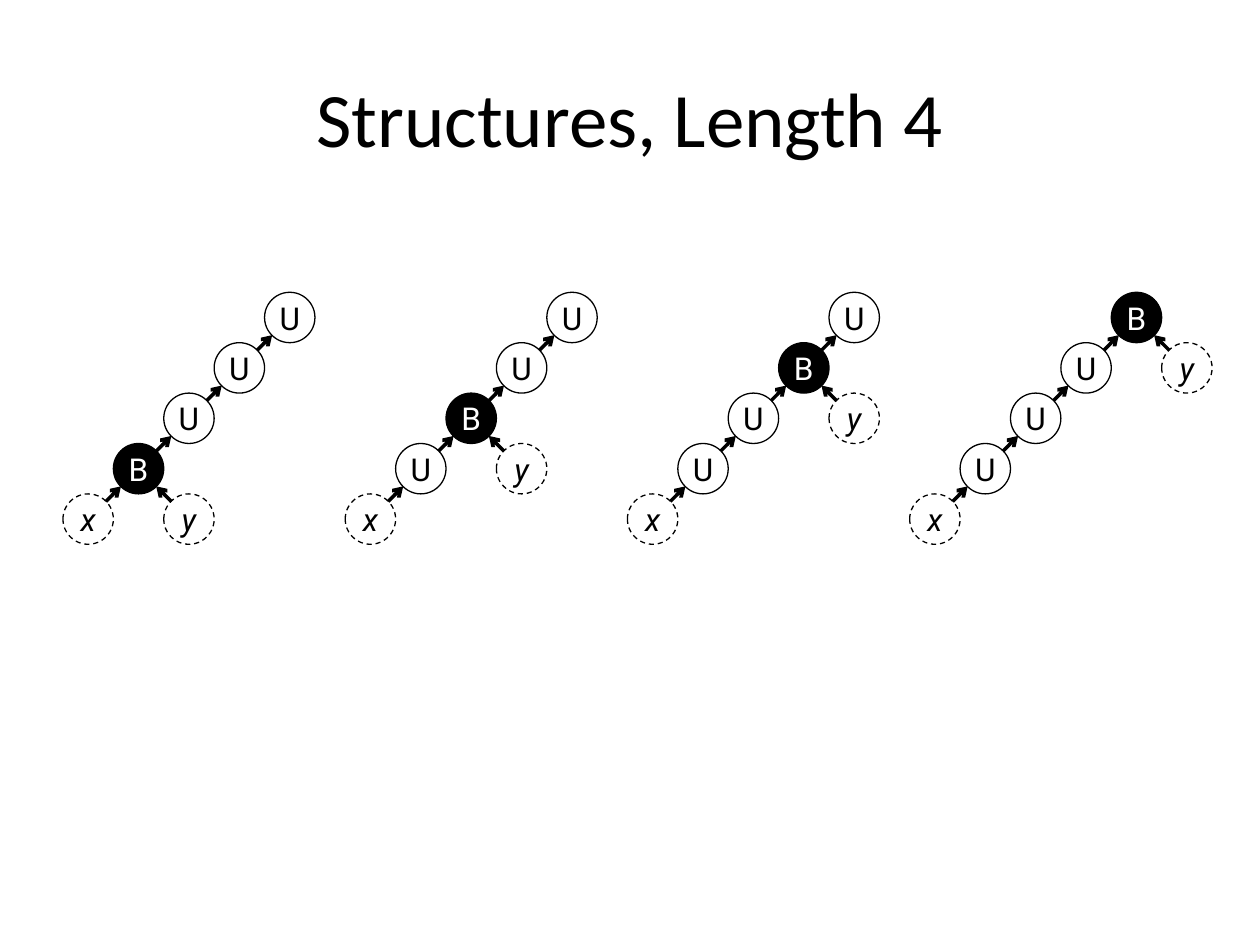
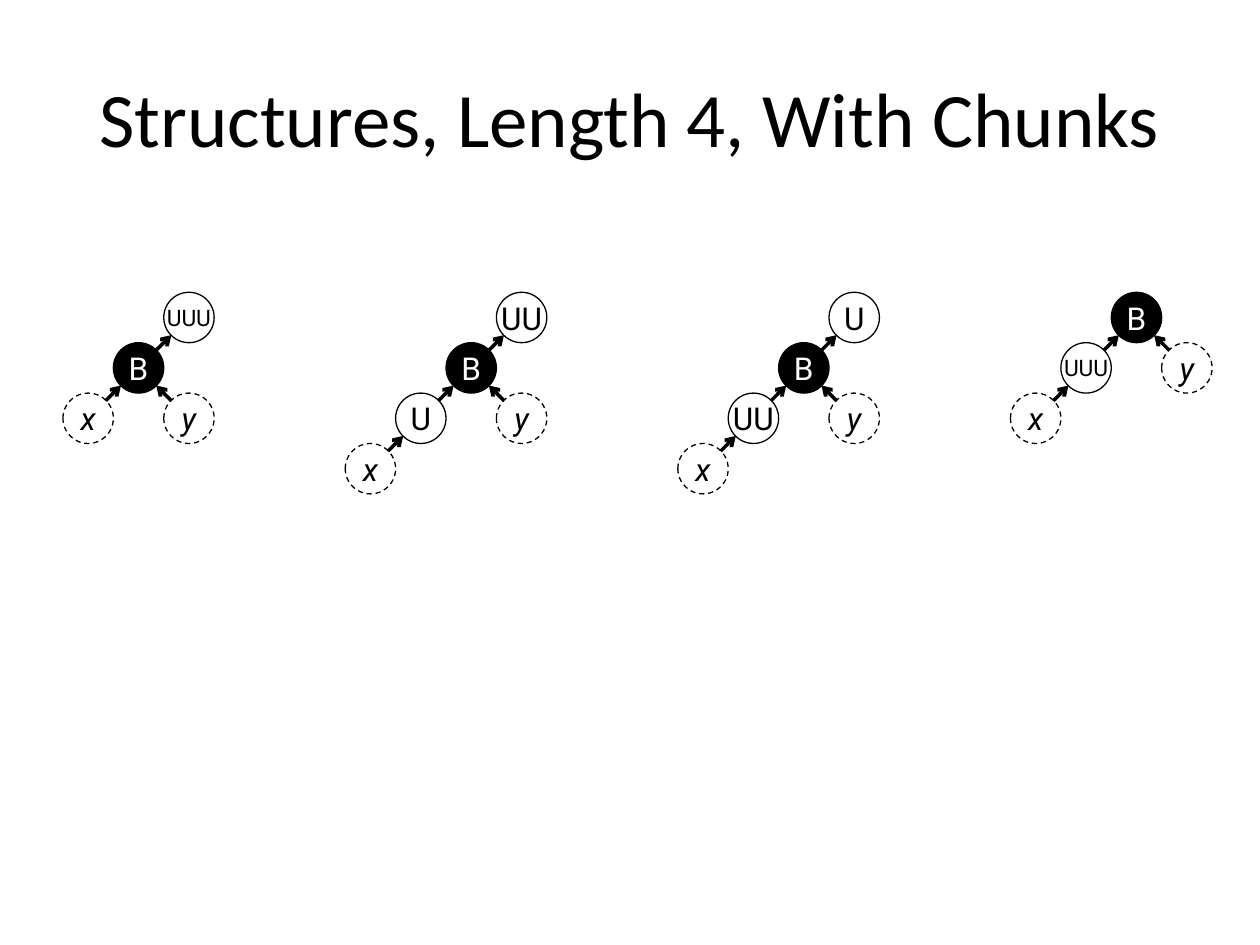
from pptx import Presentation
from pptx.dml.color import RGBColor
from pptx.enum.dml import MSO_LINE
from pptx.enum.shapes import MSO_CONNECTOR, MSO_SHAPE
from pptx.enum.text import MSO_ANCHOR, PP_ALIGN
from pptx.util import Inches, Pt
from lxml.etree import SubElement
from pptx.oxml.ns import qn

BLACK = RGBColor(0, 0, 0)
WHITE = RGBColor(255, 255, 255)
SIZE = 0.4
STEP = 0.4
TOP = 2.32
FIRST = 0.9
PITCH = 2.64
INSET = 0.06

DECKS = [
    ("Structures, Length 4",
     ["U U U B x", "U U B U x", "U B U U x", "B U U U x"]),
    ("Structures, Length 4, With Chunks",
     ["UUU B x", "UU B U x", "U B UU x", "B UUU x"]),
]


def add_node(group, label, left, top):
    node = group.shapes.add_shape(
        MSO_SHAPE.OVAL, Inches(left), Inches(top), Inches(SIZE), Inches(SIZE))
    node.shadow.inherit = False
    node.fill.solid()
    node.fill.fore_color.rgb = BLACK if label == "B" else WHITE
    node.line.color.rgb = BLACK
    node.line.width = Pt(0.75)
    leaf = label in ("x", "y")
    if leaf:
        node.line.dash_style = MSO_LINE.DASH
    frame = node.text_frame
    frame.margin_left = frame.margin_right = 0
    frame.margin_top = frame.margin_bottom = 0
    frame.word_wrap = False
    frame.vertical_anchor = MSO_ANCHOR.MIDDLE
    frame.text = label
    para = frame.paragraphs[0]
    para.alignment = PP_ALIGN.CENTER
    font = para.runs[0].font
    font.name = "Roboto"
    font.size = Pt(13 if label == "UUU" else 18)
    font.italic = leaf
    font.color.rgb = WHITE if label == "B" else BLACK


def add_arrow(group, left, top, side):
    mid = left + SIZE / 2
    near = SIZE / 2 - INSET
    far = SIZE / 2 + INSET
    base = top + SIZE
    arrow = group.shapes.add_connector(
        MSO_CONNECTOR.STRAIGHT,
        Inches(mid + side * near), Inches(base - INSET),
        Inches(mid + side * far), Inches(base + INSET))
    arrow.line.color.rgb = BLACK
    arrow.line.width = Pt(2)
    SubElement(arrow.line._get_or_add_ln(), qn("a:headEnd"), type="arrow")
    SubElement(arrow._element.spPr, qn("a:effectLst"))


prs = Presentation()
prs.slide_width = Inches(10)
prs.slide_height = Inches(7.5)

for heading, trees in DECKS:
    slide = prs.slides.add_slide(prs.slide_layouts[5])
    title = slide.shapes.title
    title.left, title.top = Inches(0.5), Inches(0.3)
    title.width, title.height = Inches(9), Inches(1.25)
    title.text_frame.text = heading
    title.text_frame.vertical_anchor = MSO_ANCHOR.MIDDLE
    para = title.text_frame.paragraphs[0]
    para.alignment = PP_ALIGN.CENTER
    font = para.runs[0].font
    font.name = "Calibri"
    font.size = Pt(44)
    font.color.rgb = BLACK

    for col, tree in enumerate(trees):
        chain = tree.split()
        fork = chain.index("B")
        group = slide.shapes.add_group_shape()
        spots = [(FIRST + col * PITCH + (fork - row) * STEP, TOP + row * STEP)
                 for row in range(len(chain))]
        for label, (left, top) in zip(chain, spots):
            add_node(group, label, left, top)
        left, top = spots[fork]
        add_node(group, "y", left + STEP, top + STEP)
        for spot in spots[:-1]:
            add_arrow(group, *spot, -1)
        add_arrow(group, left, top, 1)

prs.save("out.pptx")
